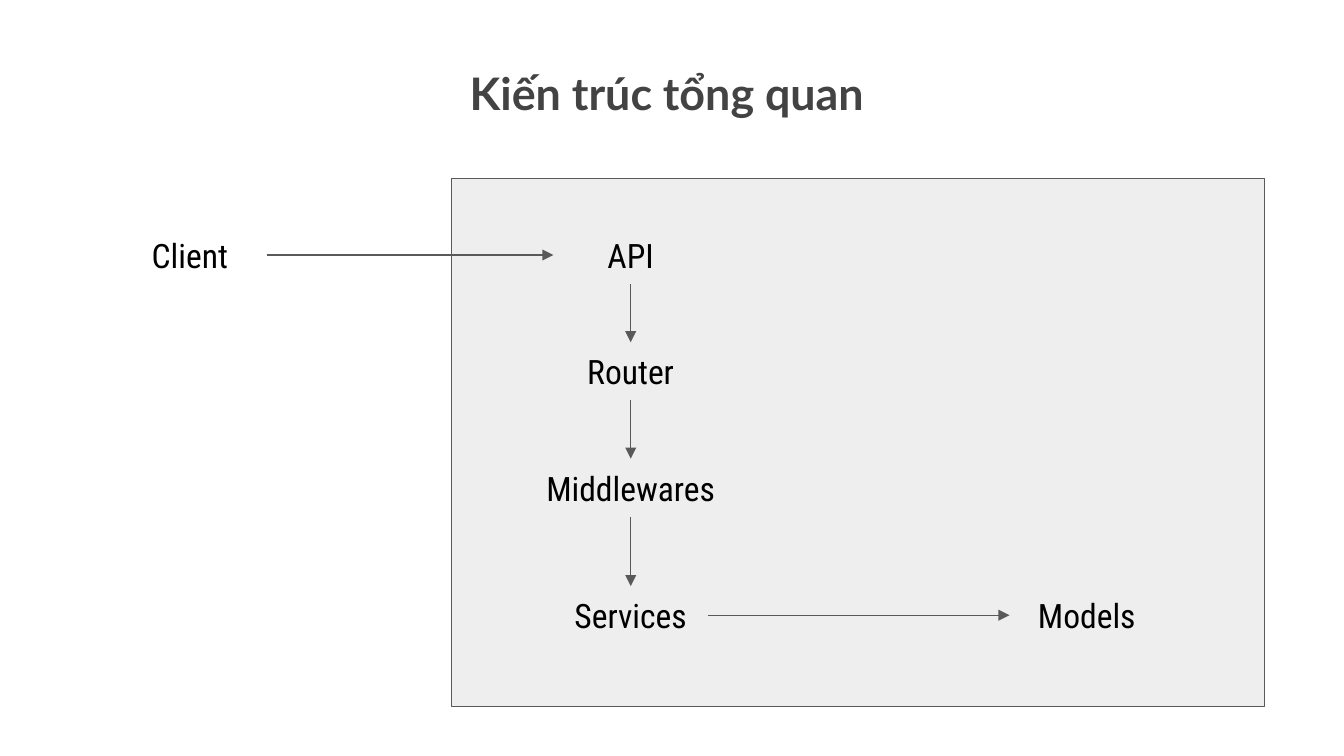
from lxml import etree
from pptx import Presentation
from pptx.dml.color import RGBColor
from pptx.enum.shapes import MSO_CONNECTOR, MSO_SHAPE
from pptx.enum.text import MSO_ANCHOR, MSO_AUTO_SIZE, PP_ALIGN
from pptx.oxml.ns import qn
from pptx.util import Cm, Pt

STRAIGHT = MSO_CONNECTOR.STRAIGHT
RECTANGLE = MSO_SHAPE.RECTANGLE
TOP, MIDDLE = MSO_ANCHOR.TOP, MSO_ANCHOR.MIDDLE
NO_FIT = MSO_AUTO_SIZE.NONE
CENTER = PP_ALIGN.CENTER

COLORS = {"title": "434343", "label": "000000", "panel": "EEEEEE", "line": "595959"}
TITLE_FONT = {"name": "Lato", "size": Pt(24), "bold": True}
LABEL_FONT = {"name": "Roboto Condensed", "size": Pt(18), "bold": False}
FRAME = {"word_wrap": True, "auto_size": NO_FIT, "margin_left": Cm(0.25),
         "margin_right": Cm(0.25), "margin_top": Cm(0.25), "margin_bottom": Cm(0.25)}
LINE_WIDTH = Pt(0.75)
SITE_TOP, SITE_LEFT, SITE_BOTTOM, SITE_RIGHT = range(4)
NODE_WIDTH, WIDE_NODE_WIDTH, NODE_HEIGHT = 2.92, 4.45, 1.1


def apply_format(target, values):
    """Set each attribute of the target from a dict of values."""
    for name, value in values.items():
        setattr(target, name, value)


def write_text(holder, wording, font, color, anchor):
    """Write one centred line of text into a shape."""
    frame = holder.text_frame
    frame.text = wording
    apply_format(frame, {**FRAME, "vertical_anchor": anchor})
    line = frame.paragraphs[0]
    line.alignment = CENTER
    apply_format(line.runs[0].font, font)
    line.runs[0].font.color.rgb = RGBColor.from_string(COLORS[color])


def style_line(line):
    """Give an outline or connector the diagram's line."""
    line.color.rgb = RGBColor.from_string(COLORS["line"])
    line.width = LINE_WIDTH


def add_node(slide, wording, center_x, center_y, width=NODE_WIDTH):
    """Place a label centred on a point and return it."""
    node = slide.shapes.add_textbox(Cm(center_x - width / 2), Cm(center_y - NODE_HEIGHT / 2),
                                    Cm(width), Cm(NODE_HEIGHT))
    write_text(node, wording, LABEL_FONT, "label", MIDDLE)
    return node


def add_arrow(slide, source, source_site, target, target_site):
    """Join two nodes with an arrow glued to their edges."""
    arrow = slide.shapes.add_connector(STRAIGHT, 0, 0, 0, 0)
    arrow.begin_connect(source, source_site)
    arrow.end_connect(target, target_site)
    style_line(arrow.line)
    properties = arrow._element.spPr
    etree.SubElement(properties.find(qn("a:ln")), qn("a:tailEnd"), type="triangle")
    etree.SubElement(properties, qn("a:effectLst"))


def fill_title(slide, left, top, width, height):
    """Move and fill the title placeholder."""
    title = slide.shapes.title
    apply_format(title, {"left": Cm(left), "top": Cm(top),
                         "width": Cm(width), "height": Cm(height)})
    write_text(title, "Kiến trúc tổng quan", TITLE_FONT, "title", TOP)


def add_server(slide, left, top, width, height):
    """Draw the server panel with its layers and return the API node."""
    panel = slide.shapes.add_shape(RECTANGLE, Cm(left), Cm(top), Cm(width), Cm(height))
    panel.shadow.inherit = False
    panel.fill.solid()
    panel.fill.fore_color.rgb = RGBColor.from_string(COLORS["panel"])
    style_line(panel.line)

    layer_x, models_x, services_y = left + 3.39, left + 12.01, top + 8.25
    api, router = (add_node(slide, wording, layer_x, top + 1.44 + 2.2 * row)
                   for row, wording in enumerate(("API", "Router")))
    middlewares = add_node(slide, "Middlewares", layer_x, top + 5.84, WIDE_NODE_WIDTH)
    services = add_node(slide, "Services", layer_x, services_y)
    models = add_node(slide, "Models", models_x, services_y)

    layers = [api, router, middlewares, services]
    for upper, lower in zip(layers, layers[1:]):
        add_arrow(slide, upper, SITE_BOTTOM, lower, SITE_TOP)
    add_arrow(slide, services, SITE_RIGHT, models, SITE_LEFT)
    return api


def main():
    """Build the architecture slide and save it."""
    deck = Presentation()
    deck.slide_width, deck.slide_height = Cm(25.4), Cm(14.29)
    slide = deck.slides.add_slide(deck.slide_layouts.get_by_name("Title Only"))
    fill_title(slide, 5.36, 0.99, 14.48, 2.62)
    client = add_node(slide, "Client", 3.59, 4.82)
    api = add_server(slide, 8.53, 3.38, 15.37, 9.98)
    add_arrow(slide, client, SITE_RIGHT, api, SITE_LEFT)
    deck.save("out.pptx")


if __name__ == "__main__":
    main()
